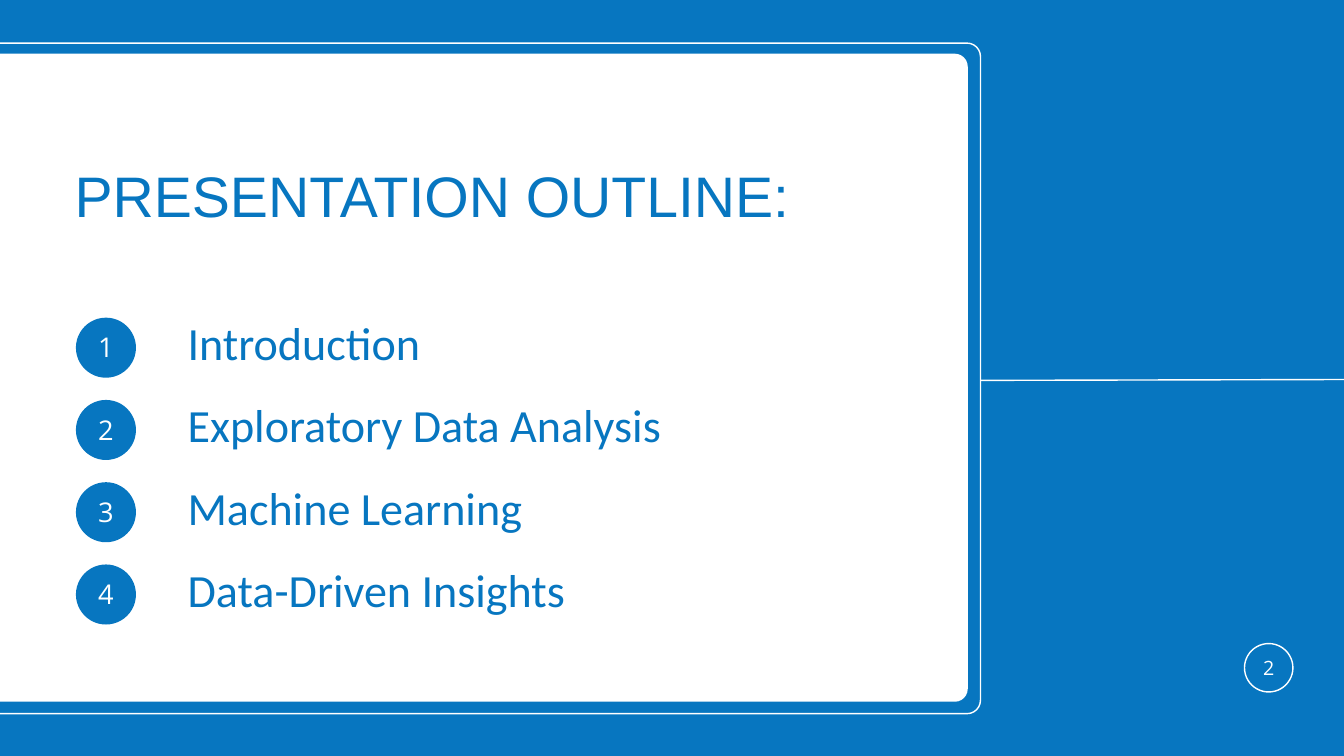
from dataclasses import dataclass

import pptx
import pptx.dml.color
import pptx.enum.shapes
import pptx.enum.text
import pptx.oxml.ns
import pptx.util
from lxml import etree

Cm = pptx.util.Cm
Pt = pptx.util.Pt
RGBColor = pptx.dml.color.RGBColor
MSO_SHAPE = pptx.enum.shapes.MSO_SHAPE
MSO_ANCHOR = pptx.enum.text.MSO_ANCHOR
PP_ALIGN = pptx.enum.text.PP_ALIGN

BLUE = RGBColor(0x07, 0x76, 0xC0)
WHITE = RGBColor(0xFF, 0xFF, 0xFF)
LINE_WIDTH = Pt(1.5)

ITEMS = ["Introduction", "Exploratory Data Analysis", "Machine Learning", "Data-Driven Insights"]
FIRST_TOP = 12.01
ITEM_STEP = 3.11


@dataclass
class Box:
    """A rectangle in centimetres."""
    left: float
    top: float
    width: float
    height: float

    def lengths(self) -> list:
        return [Cm(v) for v in (self.left, self.top, self.width, self.height)]


@dataclass
class Badge:
    """A circle holding a number; without a fill it gets a white outline."""
    text: str
    left: float
    top: float
    diameter: float
    size: float
    spacing: float
    fill: RGBColor | None = None


def paint(sp, fill: RGBColor | None) -> None:
    """Fill the shape without a line, or outline it in white without a fill."""
    sp.shadow.inherit = False
    if fill is None:
        sp.fill.background()
        sp.line.color.rgb = WHITE
        sp.line.width = LINE_WIDTH
    else:
        sp.fill.solid()
        sp.fill.fore_color.rgb = fill
        sp.line.fill.background()


def set_text(tf, text: str, size: float, font: str, color: RGBColor, align=PP_ALIGN.LEFT):
    """Write one line of text and return its run."""
    tf.text = text
    tf.margin_left = tf.margin_top = tf.margin_right = tf.margin_bottom = 0
    p = tf.paragraphs[0]
    p.alignment = align
    p.line_spacing = Pt(size)
    r = p.runs[0]
    r.font.size = Pt(size)
    r.font.name = font
    r.font.color.rgb = color
    return r


def add_panel(slide, box: Box, fill: RGBColor | None) -> None:
    sp = slide.shapes.add_shape(MSO_SHAPE.ROUNDED_RECTANGLE, *box.lengths())
    sp.adjustments[0] = 0.02
    paint(sp, fill)


def add_badge(slide, badge: Badge) -> None:
    box = Box(badge.left, badge.top, badge.diameter, badge.diameter)
    sp = slide.shapes.add_shape(MSO_SHAPE.OVAL, *box.lengths())
    paint(sp, badge.fill)
    tf = sp.text_frame
    r = set_text(tf, badge.text, badge.size, "Open Sans", WHITE, PP_ALIGN.CENTER)
    r.font._element.set("spc", str(round(badge.spacing * 100)))
    tf.vertical_anchor = MSO_ANCHOR.MIDDLE
    tf.margin_top = Cm(0.15)


def add_label(slide, text: str, box: Box) -> None:
    tf = slide.shapes.add_textbox(*box.lengths()).text_frame
    tf.word_wrap = True
    set_text(tf, text, 49.4, "Calibri", BLUE)


def add_rule(slide, x1: float, y1: float, x2: float, y2: float) -> None:
    line = slide.shapes.add_connector(
        pptx.enum.shapes.MSO_CONNECTOR.STRAIGHT, Cm(x1), Cm(y1), Cm(x2), Cm(y2))
    line.line.color.rgb = WHITE
    line.line.width = LINE_WIDTH
    etree.SubElement(line._element.spPr, pptx.oxml.ns.qn("a:effectLst"))


def set_title(slide, text: str, box: Box) -> None:
    title = slide.shapes.title
    title.left, title.top, title.width, title.height = box.lengths()
    tf = title.text_frame
    set_text(tf, text, 61.2, "Arial", BLUE)
    tf.word_wrap = True
    tf.auto_size = pptx.enum.text.MSO_AUTO_SIZE.NONE
    tf.vertical_anchor = MSO_ANCHOR.TOP


def main() -> None:
    prs = pptx.Presentation()
    prs.slide_width, prs.slide_height = Cm(50.8), Cm(28.58)
    slide = prs.slides.add_slide(prs.slide_layouts.get_by_name("Title Only"))
    slide.background.fill.solid()
    slide.background.fill.fore_color.rgb = BLUE

    add_panel(slide, Box(-6.6, 1.63, 43.66, 25.35), None)
    add_panel(slide, Box(-7.08, 2.03, 43.66, 24.5), WHITE)
    add_badge(slide, Badge("2", 47.04, 24.33, 1.83, 21.1, 1.6))
    add_rule(slide, 37.06, 14.38, 57.68, 14.33)

    for i, item in enumerate(ITEMS):
        top = FIRST_TOP + i * ITEM_STEP
        add_badge(slide, Badge(str(i + 1), 2.87, top, 2.27, 29.1, 2.2, BLUE))
        add_label(slide, item, Box(7.09, top + 0.23, 26.44, 1.83))

    set_title(slide, "PRESENTATION OUTLINE:", Box(2.82, 6.5, 29.06, 4.39))
    # The title placeholder comes first in the tree; bring it above the panels.
    slide.shapes._spTree.append(slide.shapes.title._element)

    prs.save("out.pptx")


if __name__ == "__main__":
    main()
